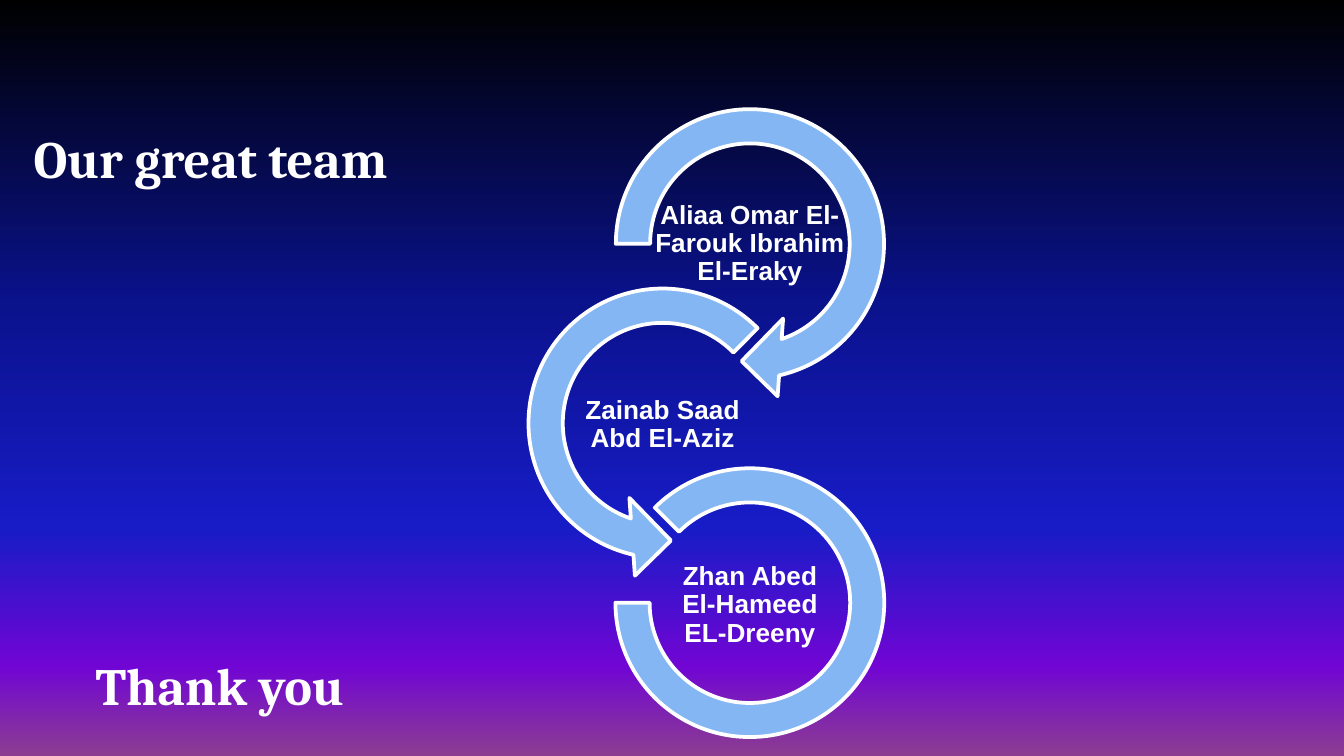
from copy import deepcopy

from pptx import Presentation
from pptx.dml.color import RGBColor
from pptx.enum.shapes import MSO_SHAPE
from pptx.enum.text import MSO_ANCHOR, MSO_AUTO_SIZE, PP_ALIGN
from pptx.oxml.ns import qn
from pptx.util import Inches, Pt

LEFT, MID = PP_ALIGN.LEFT, PP_ALIGN.CENTER
TOP, MIDDLE = MSO_ANCHOR.TOP, MSO_ANCHOR.MIDDLE
FIT, FIXED = MSO_AUTO_SIZE.SHAPE_TO_FIT_TEXT, MSO_AUTO_SIZE.NONE
RIGHT_TURN = MSO_SHAPE.CIRCULAR_ARROW
LEFT_TURN = MSO_SHAPE.LEFT_CIRCULAR_ARROW
ARC = MSO_SHAPE.BLOCK_ARC

COLORS = {"text": "FFFFFF", "ring": "84B6F4", "edge": "FFFFFF"}
SKY = [(0, "000000"), (0.4, "0A128C"), (0.7, "181CC7"),
       (0.88, "7005D4"), (1, "8C3D91")]
TEAM = [
    ("Aliaa Omar El-Farouk Ibrahim El-Eraky", 1.44, RIGHT_TURN,
     (2.32, 2.33), (0.11, 11.423, 45, 108, 0.125)),
    ("Zainab Saad Abd El-Aziz", 1.29, LEFT_TURN,
     (2.32, 2.33), (0.11, 11.423, 63, 189, 0.125)),
    ("Zhan Abed El-Hameed EL-Dreeny", 1.29, ARC,
     (2, 2), (135, 108, 0.127)),
]


def color(name):
    """Return the named colour."""
    return RGBColor.from_string(COLORS[name])


def write(frame, text, font="Cambria", size=28, align=MID, anchor=TOP,
          pad=(0.1, 0.05), fit=FIXED, line=None, after=None):
    """Put one formatted paragraph in a text frame."""
    frame.word_wrap = True
    frame.auto_size = fit
    frame.vertical_anchor = anchor
    frame.margin_left = frame.margin_right = Inches(pad[0])
    frame.margin_top = frame.margin_bottom = Inches(pad[1])
    para = frame.paragraphs[0]
    para.alignment = align
    para.line_spacing = line
    para.space_after = after
    run = para.add_run()
    run.text = text
    run.font.name = font
    run.font.size = Pt(size)
    run.font.bold = True
    run.font.color.rgb = color("text")


def paint(slide):
    """Fill the background with the downward gradient."""
    fill = slide.background.fill
    fill.gradient()
    fill.gradient_angle = 270
    stops = slide.element.find(".//" + qn("a:gsLst"))
    while len(stops) < len(SKY):
        stops.append(deepcopy(stops[0]))
    for stop, (place, tone) in zip(fill.gradient_stops, SKY):
        stop.position = place
        stop.color.rgb = RGBColor.from_string(tone)


def head(slide, x, y, w, h):
    """Place the title."""
    title = slide.shapes.title
    title.left, title.top = Inches(x), Inches(y)
    title.width, title.height = Inches(w), Inches(h)
    write(title.text_frame, "Our great team", align=LEFT, pad=(0.1, 0.1))


def chain(slide, x, y, w, h):
    """Stack the team rings, turning left and right inside the box."""
    group = slide.shapes.add_group_shape().shapes
    span, tall = 2.33, 0.65
    step = (h - span) / (len(TEAM) - 1)
    for i, (name, wide, kind, (rw, rh), turns) in enumerate(TEAM):
        cx = x + 1.16 if i % 2 else x + w - 1.16
        cy = y + span / 2 + i * step
        ring = group.add_shape(kind, Inches(cx - rw / 2), Inches(cy - rh / 2),
                               Inches(rw), Inches(rh))
        for j, turn in enumerate(turns):
            ring.adjustments[j] = turn
        ring.shadow.inherit = False
        ring.fill.solid()
        ring.fill.fore_color.rgb = color("ring")
        ring.line.color.rgb = color("edge")
        ring.line.width = Pt(2)
        label = group.add_textbox(Inches(cx - wide / 2),
                                  Inches(cy - tall / 2 + 0.01 * i),
                                  Inches(wide), Inches(tall))
        write(label.text_frame, name, font="Arial", size=14, anchor=MIDDLE,
              pad=(0.01, 0.01), line=0.9, after=Pt(4.9))


def close(slide, x, y, w, h):
    """Place the closing words."""
    box = slide.shapes.add_textbox(Inches(x), Inches(y), Inches(w), Inches(h))
    write(box.text_frame, "Thank you", fit=FIT)


def main():
    """Build and save the slide."""
    deck = Presentation()
    deck.slide_width = Inches(10)
    deck.slide_height = deck.slide_width * 9 // 16
    slide = deck.slides.add_slide(deck.slide_layouts[5])
    paint(slide)
    head(slide, 0.15, 0.84, 8.44, 0.63)
    chain(slide, 3.77, 0.65, 2.97, 5)
    close(slide, 0.19, 4.81, 2.89, 0.57)
    deck.save("out.pptx")


if __name__ == "__main__":
    main()
